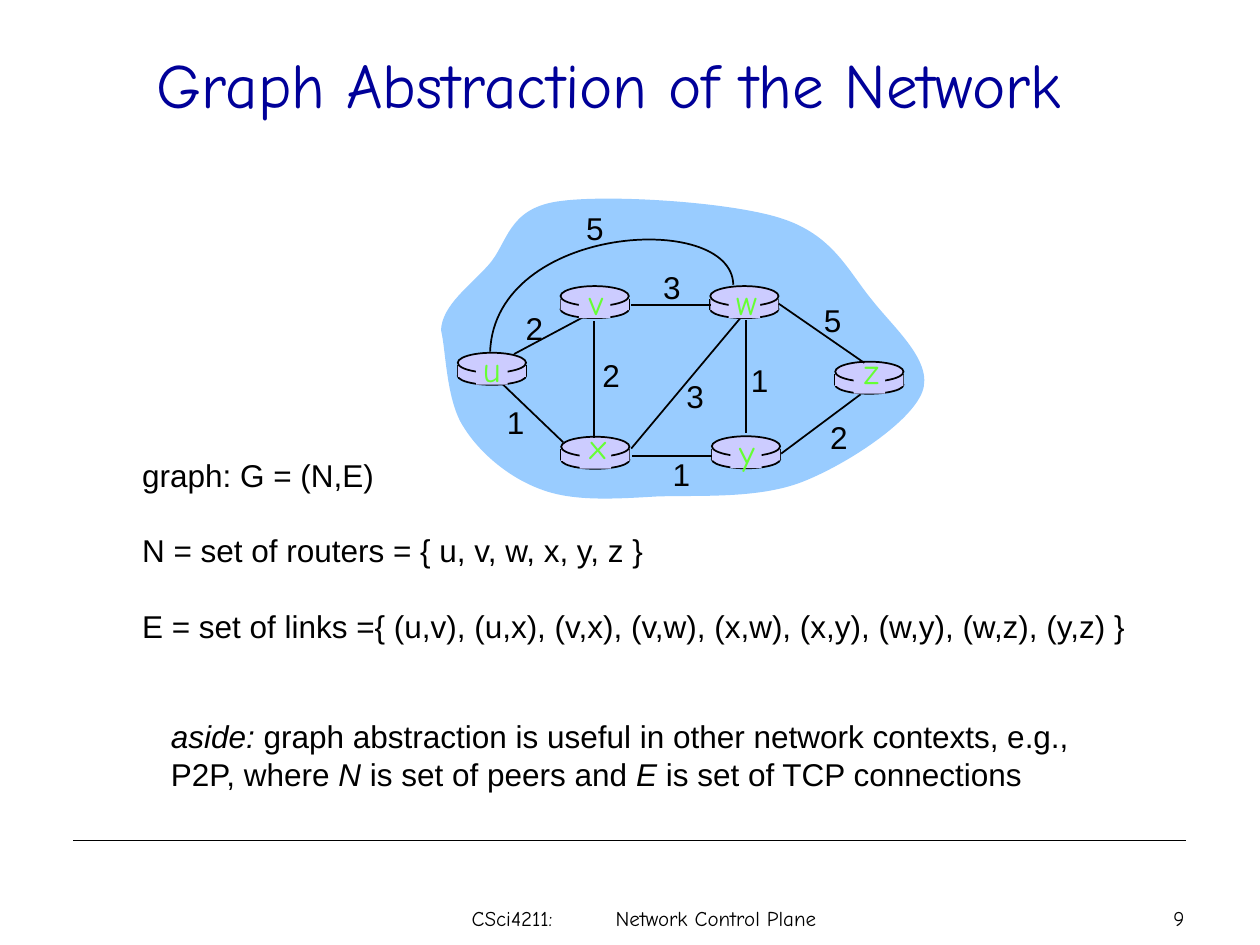
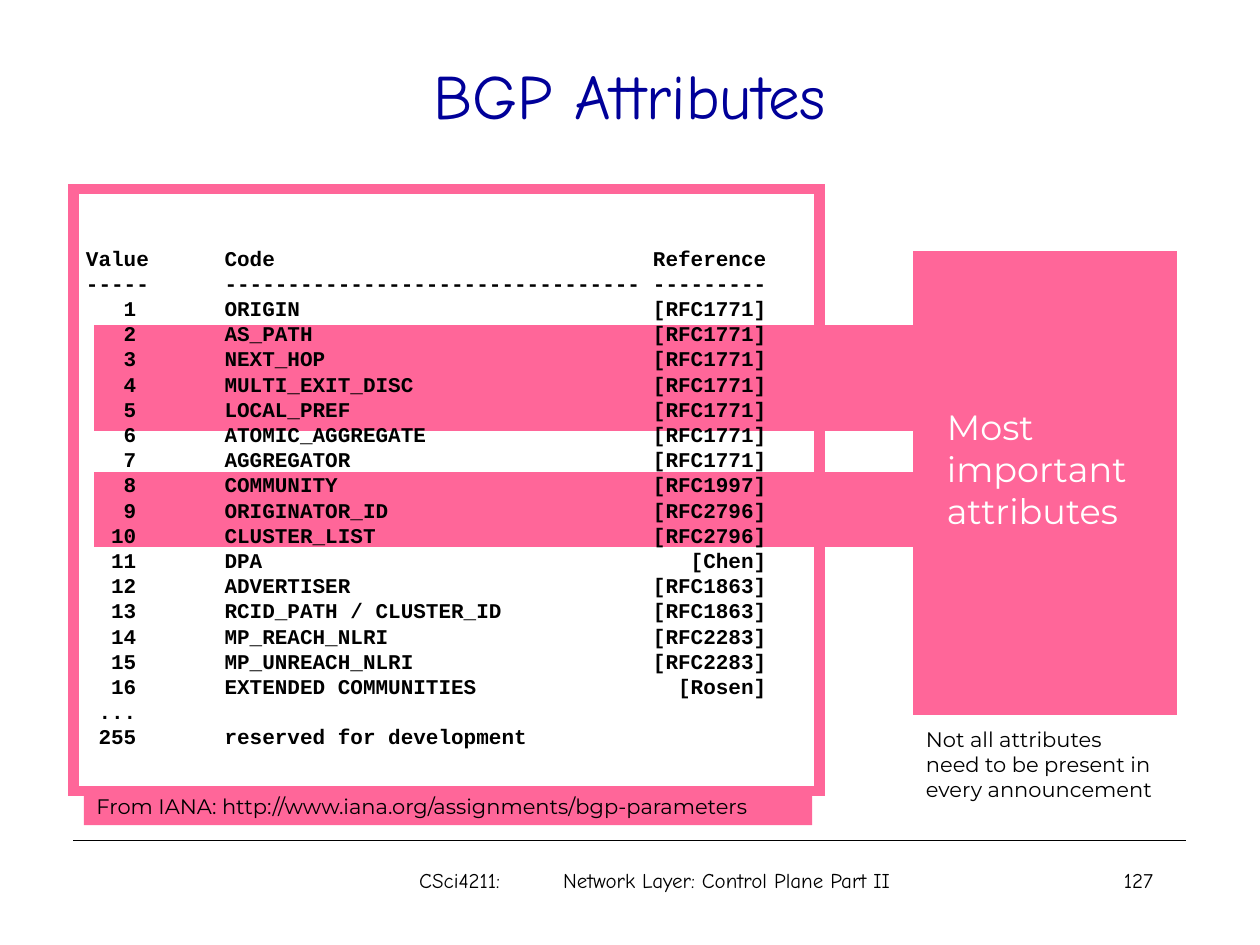
"""Build two network lecture slides: a router graph and the BGP attribute list."""
from typing import NamedTuple

from lxml import etree
from pptx import Presentation
from pptx.dml.color import RGBColor
from pptx.enum.shapes import MSO_CONNECTOR, MSO_SHAPE
from pptx.enum.text import MSO_ANCHOR, PP_ALIGN
from pptx.oxml.ns import qn
from pptx.util import Inches, Pt

RECTANGLE, ELLIPSE = MSO_SHAPE.RECTANGLE, MSO_SHAPE.OVAL
STRAIGHT = MSO_CONNECTOR.STRAIGHT
LEFT, CENTER, RIGHT = PP_ALIGN.LEFT, PP_ALIGN.CENTER, PP_ALIGN.RIGHT
TOP, MIDDLE = MSO_ANCHOR.TOP, MSO_ANCHOR.MIDDLE

SLIDE_WIDTH, SLIDE_HEIGHT = Inches(10), Inches(7.5)
COLUMNS = 120
CELL = SLIDE_WIDTH / COLUMNS
LINE_HEIGHT = 1.2
COLORS = {
    "ink": "000000", "title": "000099", "cloud": "99CCFF", "router": "CCCCFF",
    "node": "66FF33", "accent": "FF6699", "light": "FFFFFF",
}
HAND, SANS, MONO, ROUND = "Comic Neue", "Arial", "Courier New", "Montserrat"


class Box(NamedTuple):
    """A rectangle in grid cells."""
    left: float
    top: float
    width: float
    height: float


class Point(NamedTuple):
    """A place in grid cells."""
    x: float
    y: float


class Router(NamedTuple):
    """A named router, by the middle of its top edge, with the offset of its name."""
    name: str
    x: float
    top: float
    name_shift: float = 0
    name_rise: float = 1.1


class Link(NamedTuple):
    """A straight link, its cost and the top middle of the cost label."""
    start: Point
    end: Point
    cost: str
    label: Point


class Attribute(NamedTuple):
    """One row of the attribute list."""
    value: str
    code: str
    reference: str = ""


ROUTERS = [
    Router("u", 46.85, 33.6), Router("x", 56.7, 41.6, 0.25, 1.8),
    Router("v", 56.64, 27.25, 0.15), Router("w", 70.9, 27.25, 0.2),
    Router("y", 71.05, 41.55, 0.1), Router("z", 82.8, 34.45, 0.2, 1.75),
]
LINKS = [
    Link(Point(48.96, 33.72), Point(56.16, 29.88), "2", Point(50.9, 28.8)),
    Link(Point(56.6, 30.6), Point(56.6, 41.76), "2", Point(58.2, 33.36)),
    Link(Point(53.64, 42.12), Point(47.88, 36.6), "1", Point(49.1, 37.8)),
    Link(Point(60.12, 42.72), Point(70.56, 30.24), "3", Point(66.2, 35.28)),
    Link(Point(67.8, 43.4), Point(60.24, 43.4), "1", Point(64.9, 42.72)),
    Link(Point(71.04, 30.48), Point(71.04, 41.28), "1", Point(72.36, 33.75)),
    Link(Point(74.4, 43.2), Point(81.96, 37.56), "2", Point(79.9, 39.2)),
    Link(Point(82.32, 34.56), Point(74.16, 28.92), "5", Point(79.3, 28.1)),
    Link(Point(67.68, 29.04), Point(60.12, 29.04), "3", Point(64, 24.95)),
]
ARC = [(69.84, 27.12), (69.72, 20.04), (47.16, 21.36), (46.68, 33.48)]
ARC_COST = ("5", Point(56.65, 19.35))
CLOUD = [
    (42, 31.44),
    (42.12, 29.04), (44.76, 27.24), (46.56, 25.2),
    (48.36, 23.16), (48.36, 19.92), (53.04, 19.2),
    (57.6, 18.48), (69.36, 19.2), (74.28, 20.76),
    (79.32, 22.32), (80.76, 25.8), (83.04, 28.56),
    (85.2, 31.32), (88.92, 34.44), (87.84, 37.32),
    (86.76, 40.2), (80.76, 44.16), (76.56, 45.84),
    (72.36, 47.52), (66.84, 47.16), (62.64, 47.28),
    (58.56, 47.52), (54.72, 47.76), (51.72, 46.68),
    (48.6, 45.6), (45.72, 43.2), (44.16, 40.68),
    (42.48, 38.16), (42.48, 33.36), (42, 31.44),
]
ATTRIBUTES = [
    Attribute("1", "ORIGIN", "[RFC1771]"),
    Attribute("2", "AS_PATH", "[RFC1771]"),
    Attribute("3", "NEXT_HOP", "[RFC1771]"),
    Attribute("4", "MULTI_EXIT_DISC", "[RFC1771]"),
    Attribute("5", "LOCAL_PREF", "[RFC1771]"),
    Attribute("6", "ATOMIC_AGGREGATE", "[RFC1771]"),
    Attribute("7", "AGGREGATOR", "[RFC1771]"),
    Attribute("8", "COMMUNITY", "[RFC1997]"),
    Attribute("9", "ORIGINATOR_ID", "[RFC2796]"),
    Attribute("10", "CLUSTER_LIST", "[RFC2796]"),
    Attribute("11", "DPA", "[Chen]"),
    Attribute("12", "ADVERTISER", "[RFC1863]"),
    Attribute("13", "RCID_PATH / CLUSTER_ID", "[RFC1863]"),
    Attribute("14", "MP_REACH_NLRI", "[RFC2283]"),
    Attribute("15", "MP_UNREACH_NLRI", "[RFC2283]"),
    Attribute("16", "EXTENDED COMMUNITIES", "[Rosen]"),
    Attribute("...", ""),
    Attribute("255", "reserved for development"),
]


def cells(count: float) -> int:
    """Turn grid cells into slide units."""
    return round(count * CELL)


def rgb(name: str) -> RGBColor:
    """Look up a named colour."""
    return RGBColor.from_string(COLORS[name])


def paint(shape, fill: str = "", line: str = "", weight: float = 1) -> None:
    """Set the fill and the sharp-cornered outline of a shape, or remove them."""
    shape.shadow.inherit = False
    if fill:
        shape.fill.solid()
        shape.fill.fore_color.rgb = rgb(fill)
    else:
        shape.fill.background()
    if line:
        shape.line.color.rgb = rgb(line)
        shape.line.width = Pt(weight)
        outline = shape._element.spPr.find(qn("a:ln"))
        etree.SubElement(outline, qn("a:miter"), lim="800000")
    else:
        shape.line.fill.background()


def draw_shape(page, kind, box: Box, **style):
    """Add a preset shape on the grid."""
    shape = page.shapes.add_shape(kind, *map(cells, box))
    paint(shape, **style)
    return shape


def draw_line(page, start: Point, end: Point, weight: float = 1) -> None:
    """Add a straight black line."""
    line = page.shapes.add_connector(STRAIGHT, *map(cells, (*start, *end)))
    line.line.color.rgb = rgb("ink")
    line.line.width = Pt(weight)
    etree.SubElement(line._element.spPr, qn("a:effectLst"))


def draw_curve(page, controls: list, closed: bool, **style) -> None:
    """Add a chain of cubic curves, joining each three outline points into one curve."""
    points = [(cells(x), cells(y)) for x, y in controls]
    builder = page.shapes.build_freeform(*points[0])
    builder.add_line_segments(points[1:], close=closed)
    shape = builder.convert_to_shape()
    segments = list(shape._element.iter(qn("a:lnTo")))
    for first in range(0, len(controls) - 1, 3):
        curve = etree.Element(qn("a:cubicBezTo"))
        segments[first].addprevious(curve)
        for segment in segments[first:first + 3]:
            curve.append(segment[0])
            segment.getparent().remove(segment)
    paint(shape, **style)


def write(shape, lines: list, *, size: float, font: str, color: str = "ink",
          align=LEFT, anchor=TOP, bold: bool = False, wrap: bool = True,
          gap: float = 0, inset: float = 0.6, tabs: tuple = ()) -> None:
    """Fill a shape with paragraphs; asterisks switch italics on and off."""
    frame = shape.text_frame
    frame.word_wrap = wrap
    frame.vertical_anchor = anchor
    frame.margin_top = cells(inset)
    for index, text in enumerate(lines):
        para = frame.add_paragraph() if index else frame.paragraphs[0]
        para.alignment = align
        para.line_spacing = Pt(size * LINE_HEIGHT)
        if index and gap:
            para.space_before = Pt(gap)
        if tabs:
            tab_list = etree.SubElement(para._p.get_or_add_pPr(), qn("a:tabLst"))
            for position, side in tabs:
                etree.SubElement(tab_list, qn("a:tab"), pos=str(cells(position)), algn=side)
        for part, words in enumerate(text.split("*")):
            if words:
                span = para.add_run()
                span.text = words
                span.font.size = Pt(size)
                span.font.name = font
                span.font.bold = bold
                span.font.italic = part % 2 == 1
                span.font.color.rgb = rgb(color)


def add_text(page, box: Box, *lines: str, **style) -> None:
    """Add a text box on the grid."""
    write(page.shapes.add_textbox(*map(cells, box)), lines, **style)


def add_page(deck, title: str, title_box: Box, topic: str, topic_left: float,
             number: str, number_right: float, footer_top: float):
    """Add a slide with its title, rule, footer and page number."""
    page = deck.slides.add_slide(deck.slide_layouts[6])
    draw_line(page, Point(7, 80.04), Point(113, 80.04), weight=0.75)
    add_text(page, title_box, title, size=36, font=HAND, color="title",
             align=CENTER, anchor=MIDDLE)
    add_text(page, Box(topic_left, footer_top, 48, 4), f"CSci4211:\t{topic}",
             size=12, font=HAND, tabs=((13.7, "l"),))
    add_text(page, Box(number_right - 28, footer_top, 28, 4), number,
             size=12, font=HAND, align=RIGHT)
    return page


def draw_router(page, router: Router) -> None:
    """Draw a router as a flat cylinder."""
    width = 6.5
    left, top = router.x - width / 2, router.top
    draw_shape(page, ELLIPSE, Box(left, top + 1.35, width, 1.7), fill="router", line="ink")
    for x in (left, left + width):
        draw_line(page, Point(x, top + 1.2), Point(x, top + 2.25))
    draw_shape(page, RECTANGLE, Box(left, top + 1.2, width, 1.1), fill="router")
    draw_shape(page, ELLIPSE, Box(left, top, width, 1.9), fill="router", line="ink")


def draw_name(page, router: Router) -> None:
    """Put the name of a router on a plain patch."""
    draw_shape(page, RECTANGLE, Box(router.x - 1.5, router.top + 0.3, 3, 2.75), fill="router")
    name_left = router.x + router.name_shift - 2.2
    add_text(page, Box(name_left, router.top - router.name_rise, 4.4, 5.2),
             router.name, size=20, font=HAND, color="node", align=CENTER, wrap=False)


def draw_cost(page, cost: str, place: Point) -> None:
    """Write the cost of a link."""
    add_text(page, Box(place.x - 2.05, place.y, 4.1, 4.8), cost,
             size=18, font=SANS, align=CENTER, wrap=False)


def build_graph_page(deck) -> None:
    """Build the slide with the router graph."""
    page = add_page(deck, "Graph Abstraction of the Network", Box(7, 2.7, 102, 10.4),
                    "Network Control Plane", 43.75, "9", 114, 85.65)
    draw_curve(page, CLOUD, True, fill="cloud")
    for router in ROUTERS:
        draw_router(page, router)
    for link in LINKS:
        draw_line(page, link.start, link.end)
    draw_curve(page, ARC, False, line="ink")
    for router in ROUTERS:
        draw_name(page, router)
    for link in LINKS:
        draw_cost(page, link.cost, link.label)
    draw_cost(page, *ARC_COST)
    add_text(page, Box(12.35, 42.8, 97.1, 19.2),
             "graph: G = (N,E)",
             "N = set of routers = { u, v, w, x, y, z }",
             "E = set of links ={ (u,v), (u,x), (v,x), (v,w), (x,w), (x,y), (w,y), (w,z), (y,z) }",
             size=18, font=SANS, gap=18 * LINE_HEIGHT)
    add_text(page, Box(15.1, 67.7, 88.8, 8.4),
             "*aside:* graph abstraction is useful in other network contexts, e.g.,",
             "P2P, where *N* is set of peers and *E* is set of TCP connections",
             size=18, font=SANS)


def build_attribute_page(deck) -> None:
    """Build the slide with the BGP attribute list."""
    page = add_page(deck, "BGP Attributes", Box(9, 3, 102, 12),
                    "Network Layer: Control Plane Part II", 38.75, "127", 111, 82)
    for top, height in ((45, 7), (31, 10)):
        draw_shape(page, RECTANGLE, Box(9, top, 79, height),
                   fill="accent", line="accent", weight=0.75)
    frame = draw_shape(page, RECTANGLE, Box(7, 18, 71.05, 57.35), line="accent", weight=6)
    rows = ["Value\tCode\tReference", "\t".join("-" * count for count in (5, 33, 9))]
    rows += ["\t" + "\t".join(filter(None, attribute)) for attribute in ATTRIBUTES]
    write(frame, rows, size=12, font=MONO, bold=True, inset=5.35,
          tabs=((4.8, "r"), (13.2, "l"), (64.8, "r")))
    source = draw_shape(page, RECTANGLE, Box(8, 75, 69.35, 3.6), fill="accent")
    write(source, ["From IANA: http://www.iana.org/assignments/bgp-parameters"],
          size=12, font=ROUND)
    draw_shape(page, RECTANGLE, Box(87, 24, 25, 44), fill="accent", line="accent", weight=0.75)
    add_text(page, Box(89, 38, 20.4, 13.2), "Most", "important", "attributes",
             size=20, font=ROUND, color="light", wrap=False)
    add_text(page, Box(87, 68.6, 26, 8.4), "Not all attributes", "need to be present in",
             "every announcement", size=12, font=ROUND)


def main() -> None:
    """Build and save the deck."""
    deck = Presentation()
    deck.slide_width, deck.slide_height = SLIDE_WIDTH, SLIDE_HEIGHT
    build_graph_page(deck)
    build_attribute_page(deck)
    deck.save("out.pptx")


if __name__ == "__main__":
    main()
